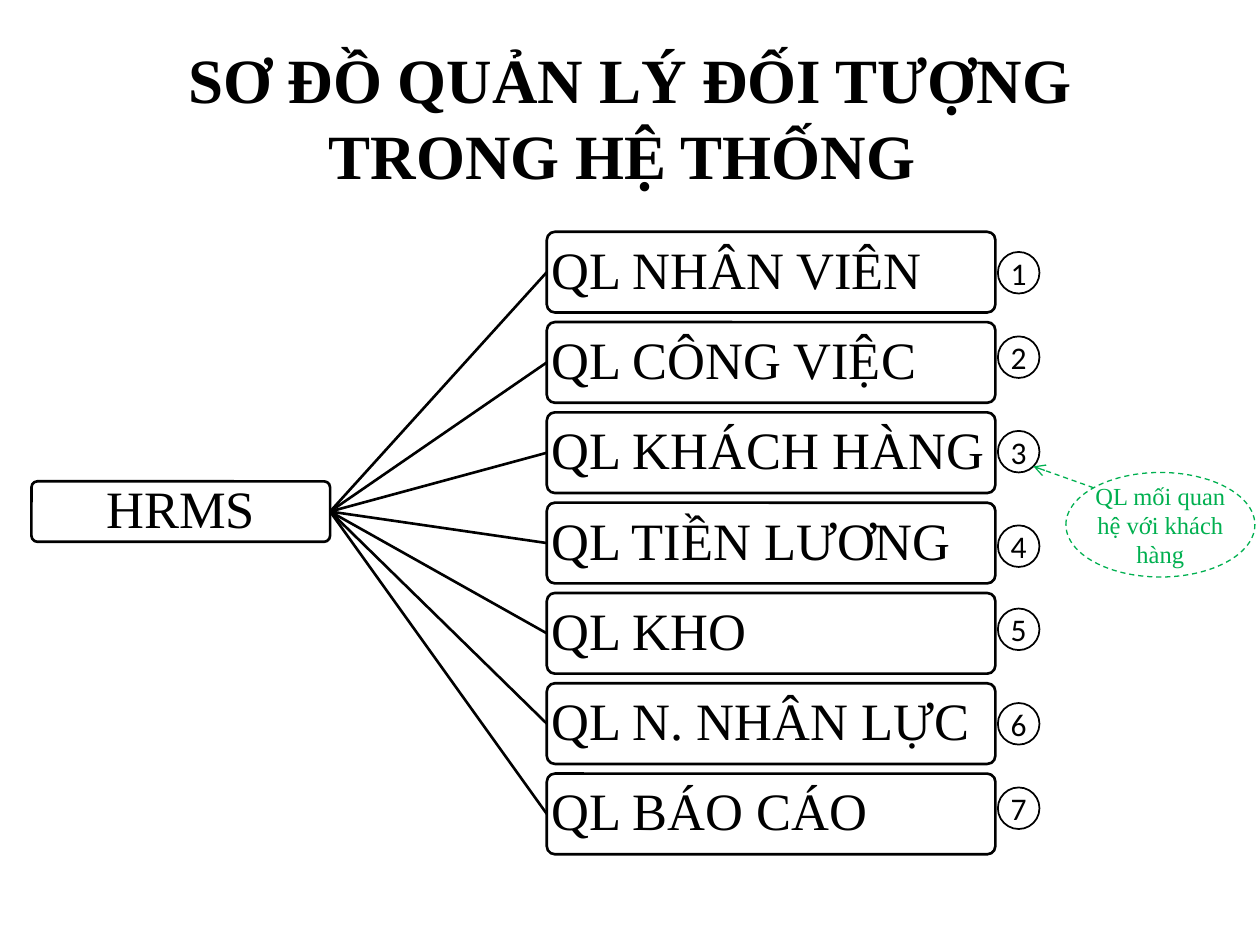
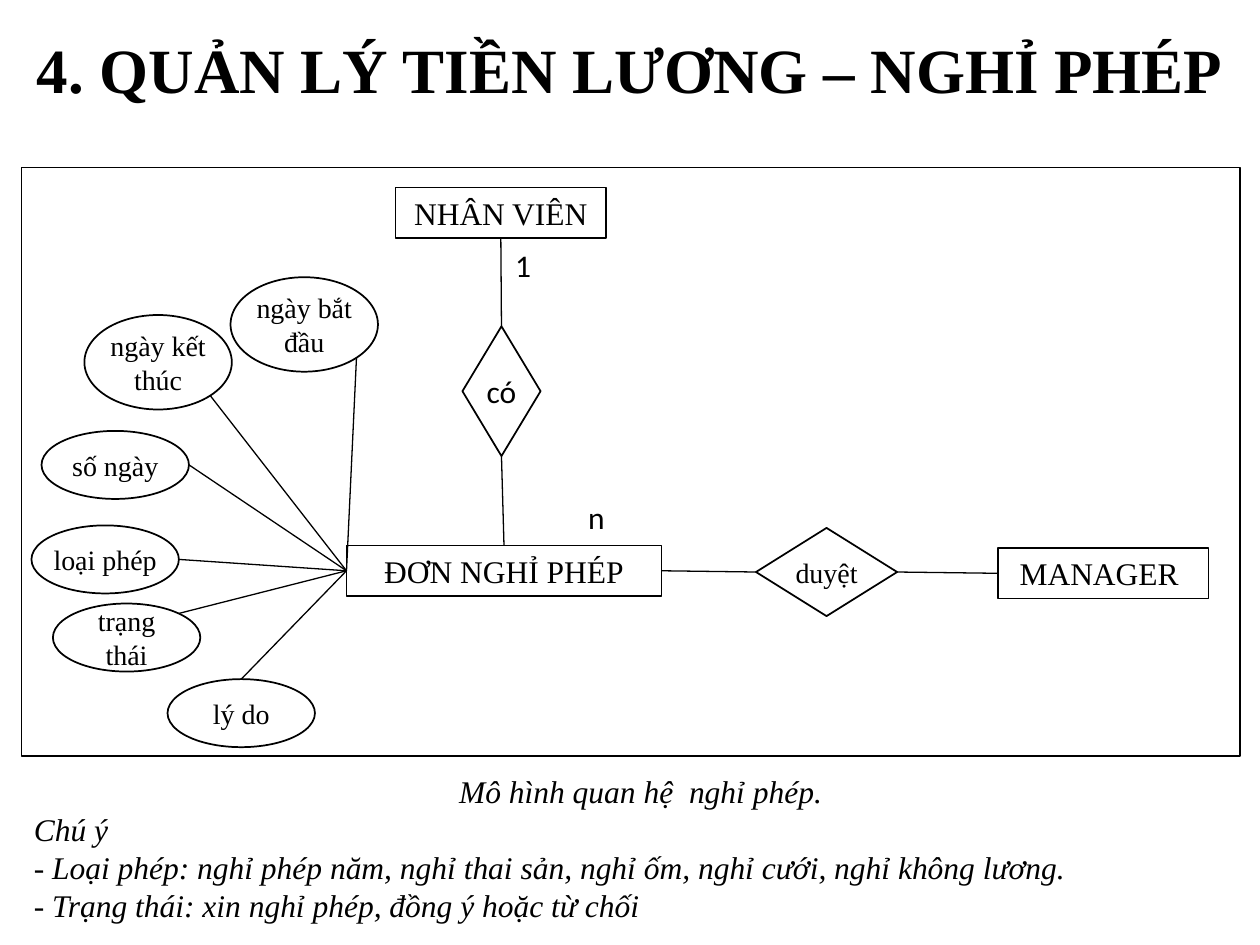
from lxml import etree
from pptx import Presentation
from pptx.dml.color import RGBColor
from pptx.enum.dml import MSO_LINE
from pptx.enum.shapes import MSO_CONNECTOR, MSO_SHAPE
from pptx.enum.text import MSO_ANCHOR, PP_ALIGN
from pptx.oxml.ns import qn
from pptx.util import Inches, Pt

RECT, ROUND = MSO_SHAPE.RECTANGLE, MSO_SHAPE.ROUNDED_RECTANGLE
OVAL, DIAMOND = MSO_SHAPE.OVAL, MSO_SHAPE.DIAMOND
STRAIGHT, DASH = MSO_CONNECTOR.STRAIGHT, MSO_LINE.DASH
LEFT, CENTER = PP_ALIGN.LEFT, PP_ALIGN.CENTER
TOP, MIDDLE = MSO_ANCHOR.TOP, MSO_ANCHOR.MIDDLE

BLACK = RGBColor(0x00, 0x00, 0x00)
GREEN = RGBColor(0x00, 0xB0, 0x50)
SERIF, SANS = "Times New Roman", "Calibri"
DEFAULT_INSETS = (0.1, 0.05)

SITES = {"top": (0.5, 0), "bottom": (0.5, 1), "left": (0, 0.5), "right": (1, 0.5),
         "top left": (0.146, 0.146), "bottom right": (0.854, 0.854),
         "top right": (0.854, 0.146)}

TREE_TITLE = "SƠ ĐỒ QUẢN LÝ ĐỐI TƯỢNG TRONG HỆ THỐNG "
ROOT = ("HRMS", (0.25, 3.82, 2.37, 0.48))
MODULES = [
    ("QL NHÂN VIÊN", 2.0),
    ("QL CÔNG VIỆC", 2.67),
    ("QL KHÁCH HÀNG", 3.42),
    ("QL TIỀN LƯƠNG", 4.17),
    ("QL KHO", 4.83),
    ("QL N. NHÂN LỰC", 5.58),
    ("QL BÁO CÁO", 6.25),
]
MODULE_TOP, MODULE_BOTTOM = 1.84, 6.78
MODULE_LEFT, MODULE_W, MODULE_H = 4.34, 3.56, 0.64
BADGE_LEFT, BADGE = 7.92, 0.33
NOTE = ("QL mối quan hệ với khách hàng", (8.46, 3.75, 1.5, 0.83))
NOTED_MODULE = 3

LEAVE_TITLE = "4. QUẢN LÝ TIỀN LƯƠNG – NGHỈ PHÉP"
FRAME = (0.17, 1.33, 9.67, 4.67)
ENTITIES = {
    "request": ("ĐƠN NGHỈ PHÉP", (2.75, 4.33, 2.5, 0.4)),
    "employee": ("NHÂN VIÊN", (3.14, 1.49, 1.67, 0.4)),
    "manager": ("MANAGER ", (7.92, 4.35, 1.67, 0.4)),
}
RELATIONS = {
    "approves": ("duyệt", (6, 4.19, 1.12, 0.7), 16, SERIF),
    "has": ("có", (3.67, 2.59, 0.62, 1.03), 18, SANS),
}
LINKS = [
    ("employee", "bottom", "has", "top"),
    ("has", "bottom", "request", "top"),
    ("request", "right", "approves", "left"),
    ("approves", "right", "manager", "left"),
]
CARDINALITIES = [("n", 4.57, 3.9), ("1", 3.99, 1.9)]
ATTRIBUTE_W = 1.17
ATTRIBUTES = [
    ("ngày bắt đầu", 1.83, 2.2, 0.75, "bottom right"),
    ("ngày kết thúc", 0.67, 2.5, 0.75, "bottom right"),
    ("số ngày", 0.33, 3.42, 0.54, "right"),
    ("loại phép", 0.25, 4.17, 0.54, "right"),
    ("trạng thái", 0.42, 4.79, 0.54, "top right"),
    ("lý do", 1.33, 5.39, 0.54, "top"),
]
CAPTION = "Mô hình quan hệ  nghỉ phép."
REMARKS = [
    "Chú ý",
    "- Loại phép: nghỉ phép năm, nghỉ thai sản, nghỉ ốm, nghỉ cưới, nghỉ không lương.",
    "- Trạng thái: xin nghỉ phép, đồng ý hoặc từ chối",
]


def write(s, lines, size, font=SERIF, color=BLACK, align=CENTER, anchor=MIDDLE,
          insets=(0, 0), bold=False, italic=False):
    tf = s.text_frame
    tf.word_wrap = True
    tf.vertical_anchor = anchor
    tf.margin_left = tf.margin_right = Inches(insets[0])
    tf.margin_top = tf.margin_bottom = Inches(insets[1])
    for i, line in enumerate(lines):
        p = tf.add_paragraph() if i else tf.paragraphs[0]
        p.text = line
        p.alignment = align
        p.font.name, p.font.size = font, Pt(size)
        p.font.bold, p.font.italic = bold, italic
        p.font.color.rgb = color
    return tf


def add_text(slide, box, lines, size, **style):
    s = slide.shapes.add_textbox(*map(Inches, box))
    return write(s, lines, size, insets=DEFAULT_INSETS, **style)


def add_title(slide, box, title):
    add_text(slide, box, [title], 36, bold=True)


def style_line(line, color, width, dash):
    line.color.rgb = color
    line.width = Pt(width)
    if dash:
        line.dash_style = dash


def add_outline(slide, kind, box, width=1, color=BLACK, dash=None):
    s = slide.shapes.add_shape(kind, *map(Inches, box))
    s.shadow.inherit = False
    s.fill.background()
    style_line(s.line, color, width, dash)
    return s


def site(box, name):
    x, y, w, h = box
    fx, fy = SITES[name]
    return x + w * fx, y + h * fy


def add_link(slide, start, end, width=0.75, color=BLACK, dash=None, arrow=False):
    c = slide.shapes.add_connector(STRAIGHT, *map(Inches, start + end))
    style_line(c.line, color, width, dash)
    if arrow:
        etree.SubElement(c.line._get_or_add_ln(), qn("a:tailEnd"), type="arrow")
    etree.SubElement(c._element.spPr, qn("a:effectLst"))


def add_node(slide, text, box, align):
    s = add_outline(slide, ROUND, box, 1.5)
    s.adjustments[0] = 0.1
    tf = write(s, [text], 30, align=align, insets=(0.02, 0.02))
    tf.paragraphs[0].line_spacing = 0.9


def build_tree(slide):
    root_text, root_box = ROOT
    add_node(slide, root_text, root_box, CENTER)
    pitch = (MODULE_BOTTOM - MODULE_TOP - MODULE_H) / (len(MODULES) - 1)
    for i, (name, badge_top) in enumerate(MODULES):
        box = (MODULE_LEFT, MODULE_TOP + i * pitch, MODULE_W, MODULE_H)
        add_link(slide, site(root_box, "right"), site(box, "left"), 1.5)
        add_node(slide, name, box, LEFT)
        badge = add_outline(slide, OVAL, (BADGE_LEFT, badge_top, BADGE, BADGE))
        write(badge, [str(i + 1)], 18, SANS)

    add_title(slide, (0.5, 0.3, 9, 1.25), TREE_TITLE)
    note_text, note_box = NOTE
    noted_badge = (BADGE_LEFT, MODULES[NOTED_MODULE - 1][1], BADGE, BADGE)
    add_link(slide, site(note_box, "top left"), site(noted_badge, "bottom right"),
             color=GREEN, dash=DASH, arrow=True)
    note = add_outline(slide, OVAL, note_box, 0.75, GREEN, DASH)
    write(note, [note_text], 14, color=GREEN)


def build_leave_model(slide):
    add_title(slide, (0, 0, 10, 1.08), LEAVE_TITLE)
    add_outline(slide, RECT, FRAME)
    boxes = {}
    for key, (text, box) in ENTITIES.items():
        boxes[key] = box
        s = add_outline(slide, RECT, box, 0.75)
        write(s, [text], 18, anchor=TOP, insets=DEFAULT_INSETS)
    for key, (text, box, size, font) in RELATIONS.items():
        boxes[key] = box
        write(add_outline(slide, DIAMOND, box), [text], size, font)
    for start, start_site, end, end_site in LINKS:
        add_link(slide, site(boxes[start], start_site), site(boxes[end], end_site))
    for text, x, y in CARDINALITIES:
        add_text(slide, (x, y, 0.5, 0.4), [text], 18, font=SANS, align=LEFT, anchor=TOP)
    for text, x, y, h, start_site in ATTRIBUTES:
        box = (x, y, ATTRIBUTE_W, h)
        write(add_outline(slide, OVAL, box), [text], 16)
        add_link(slide, site(box, start_site), site(boxes["request"], "left"))
    tf = add_text(slide, (0.17, 6.08, 9.83, 1.31), [CAPTION] + REMARKS, 18,
                  align=LEFT, anchor=TOP, italic=True)
    tf.paragraphs[0].alignment = CENTER


def main():
    prs = Presentation()
    prs.slide_width, prs.slide_height = Inches(10), Inches(7.5)
    blank = prs.slide_layouts[6]
    for build in (build_tree, build_leave_model):
        build(prs.slides.add_slide(blank))
    prs.save("out.pptx")


if __name__ == "__main__":
    main()
